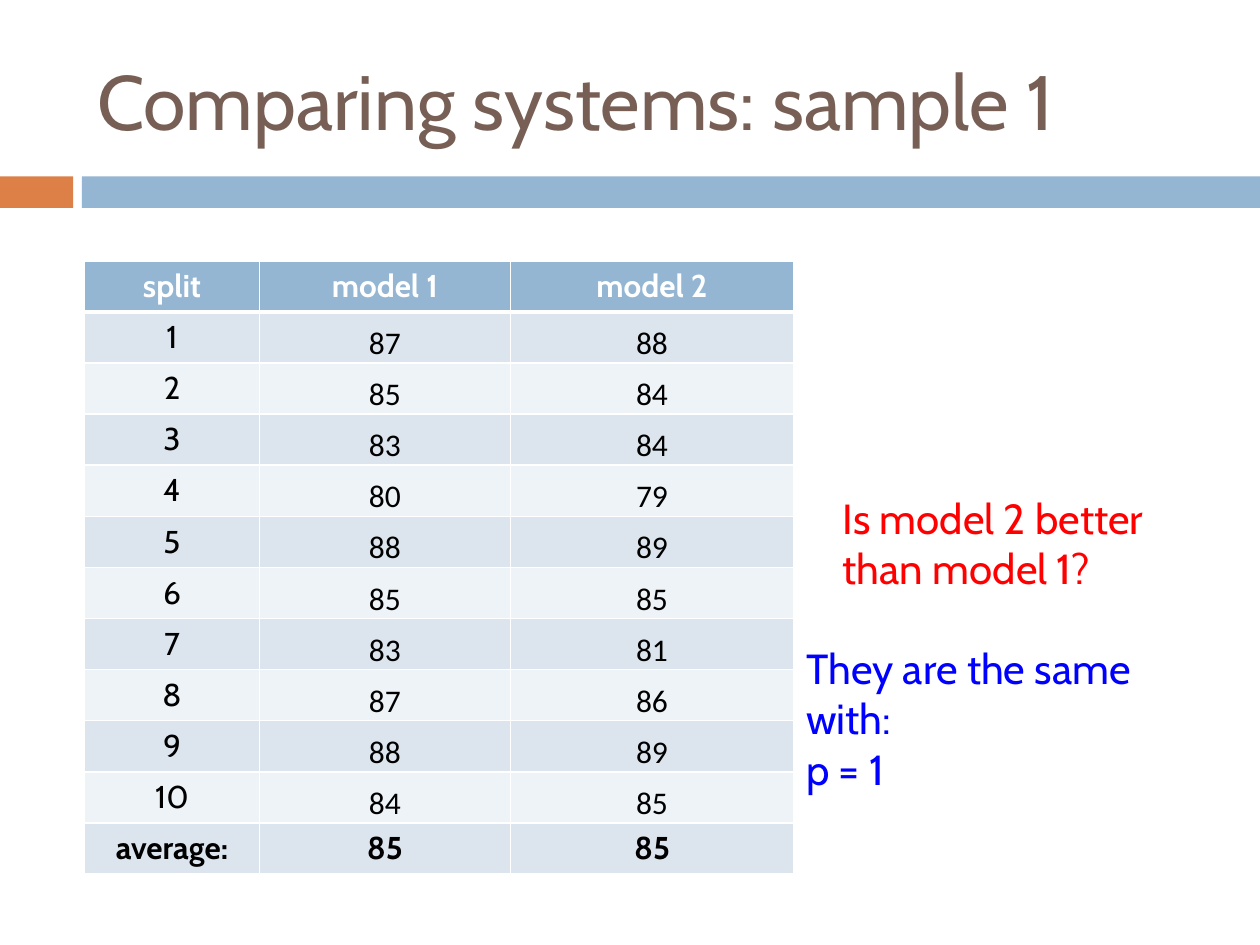
import pptx
import pptx.util
import pptx.dml.color
import pptx.enum.shapes
import pptx.enum.text
import pptx.oxml
import pptx.oxml.ns

Inches = pptx.util.Inches
Pt = pptx.util.Pt
ALIGN = pptx.enum.text.PP_ALIGN
ANCHOR = pptx.enum.text.MSO_ANCHOR

HUES = {
    "title": "775F55",
    "accent": "DD8047",
    "bar": "94B6D2",
    "odd": "DCE5EE",
    "even": "EEF3F7",
    "white": "FFFFFF",
    "black": "000000",
    "ask": "FF0000",
    "reply": "0000FF",
}
SCORES = [
    (87, 88), (85, 84), (83, 84), (80, 79), (88, 89),
    (85, 85), (83, 81), (87, 86), (88, 89), (84, 85),
]
WIDTHS = [1.39, 1.99, 2.25]
TIGHT = {
    "margin_left": Inches(0.01),
    "margin_right": Inches(0.01),
    "margin_top": Inches(0.01),
    "margin_bottom": 0,
    "vertical_anchor": ANCHOR.BOTTOM,
}


def hue(name):
    return pptx.dml.color.RGBColor.from_string(HUES[name])


def put(item, vals):
    for name, val in vals.items():
        setattr(item, name, val)


def place(item, box):
    names = ("left", "top", "width", "height")
    put(item, dict(zip(names, map(Inches, box))))


def write(frame, lines, size, tint, font="Cabin", bold=False, align=ALIGN.LEFT):
    for num, line in enumerate(lines):
        para = frame.add_paragraph() if num else frame.paragraphs[0]
        para.alignment = align
        run = para.add_run()
        run.text = line
        put(run.font, {"name": font, "size": Pt(size), "bold": bold})
        run.font.color.rgb = hue(tint)


def add_bar(slide, box, tint):
    kind = pptx.enum.shapes.MSO_SHAPE.RECTANGLE
    bar = slide.shapes.add_shape(kind, *map(Inches, box))
    bar.shadow.inherit = False
    bar.fill.solid()
    bar.fill.fore_color.rgb = hue(tint)
    bar.line.fill.background()


def add_title(slide, text):
    title = slide.shapes.title
    place(title, (0.67, 0.25, 8.92, 1.08))
    put(title.text_frame, {"vertical_anchor": ANCHOR.MIDDLE, "word_wrap": True})
    write(title.text_frame, [text], 44, "title")


def add_note(slide, box, lines, tint):
    note = slide.shapes.add_textbox(*map(Inches, box))
    note.text_frame.word_wrap = True
    write(note.text_frame, lines, 24, tint)


def edge(cell, side, width):
    line = pptx.oxml.parse_xml(
        f'<a:ln{side} {pptx.oxml.ns.nsdecls("a")} w="{Pt(width)}"><a:solidFill>'
        f'<a:srgbClr val="{HUES["white"]}"/></a:solidFill></a:ln{side}>'
    )
    cell._tc.get_or_add_tcPr().append(line)


def fill_cell(cell, text, row, col, last):
    head, total = row == 0, row == last
    score = col > 0 and not head and not total
    for side in "LRTB":
        thick = (head and side == "B") or (row == 1 and side == "T")
        edge(cell, side, 3 if thick else 1)
    cell.fill.solid()
    band = "odd" if row % 2 else "even"
    cell.fill.fore_color.rgb = hue("bar" if head else band)
    if score:
        put(cell, TIGHT)
    write(
        cell.text_frame, [str(text)], 18, "white" if head else "black",
        "Calibri" if score else "Cabin", head or total, ALIGN.CENTER,
    )


def add_grid(slide):
    rows = [("split", "model 1", "model 2")]
    rows += [(num, *pair) for num, pair in enumerate(SCORES, 1)]
    means = [sum(col) // len(col) for col in zip(*SCORES)]
    rows.append(("average:", *means))
    box = map(Inches, (0.67, 2.07, sum(WIDTHS), 0.4 * len(rows)))
    grid = slide.shapes.add_table(len(rows), len(WIDTHS), *box).table
    for col, width in zip(grid.columns, WIDTHS):
        col.width = Inches(width)
    for row, vals in enumerate(rows):
        for col, text in enumerate(vals):
            fill_cell(grid.cell(row, col), text, row, col, len(rows) - 1)


def main():
    deck = pptx.Presentation()
    put(deck, {"slide_width": Inches(10), "slide_height": Inches(7.5)})
    slide = deck.slides.add_slide(deck.slide_layouts[5])
    add_bar(slide, (0, 1.4, 0.58, 0.25), "accent")
    add_bar(slide, (0.65, 1.4, 9.35, 0.25), "bar")
    add_title(slide, "Comparing systems: sample 1")
    add_grid(slide)
    add_note(slide, (6.59, 3.86, 2.99, 0.91), ["Is model 2 better than model 1?"], "ask")
    add_note(slide, (6.3, 5.05, 3.37, 0.91), ["They are the same with:", "p = 1"], "reply")
    deck.save("out.pptx")


if __name__ == "__main__":
    main()
